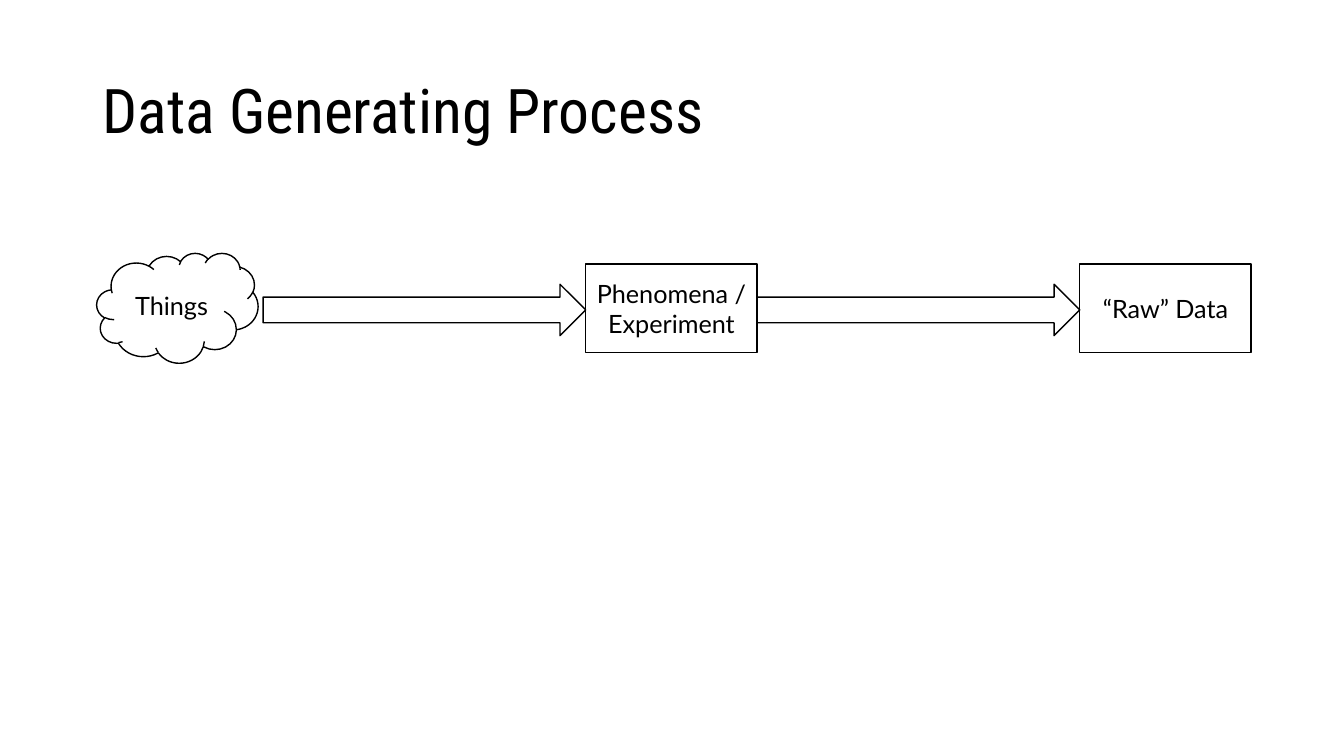
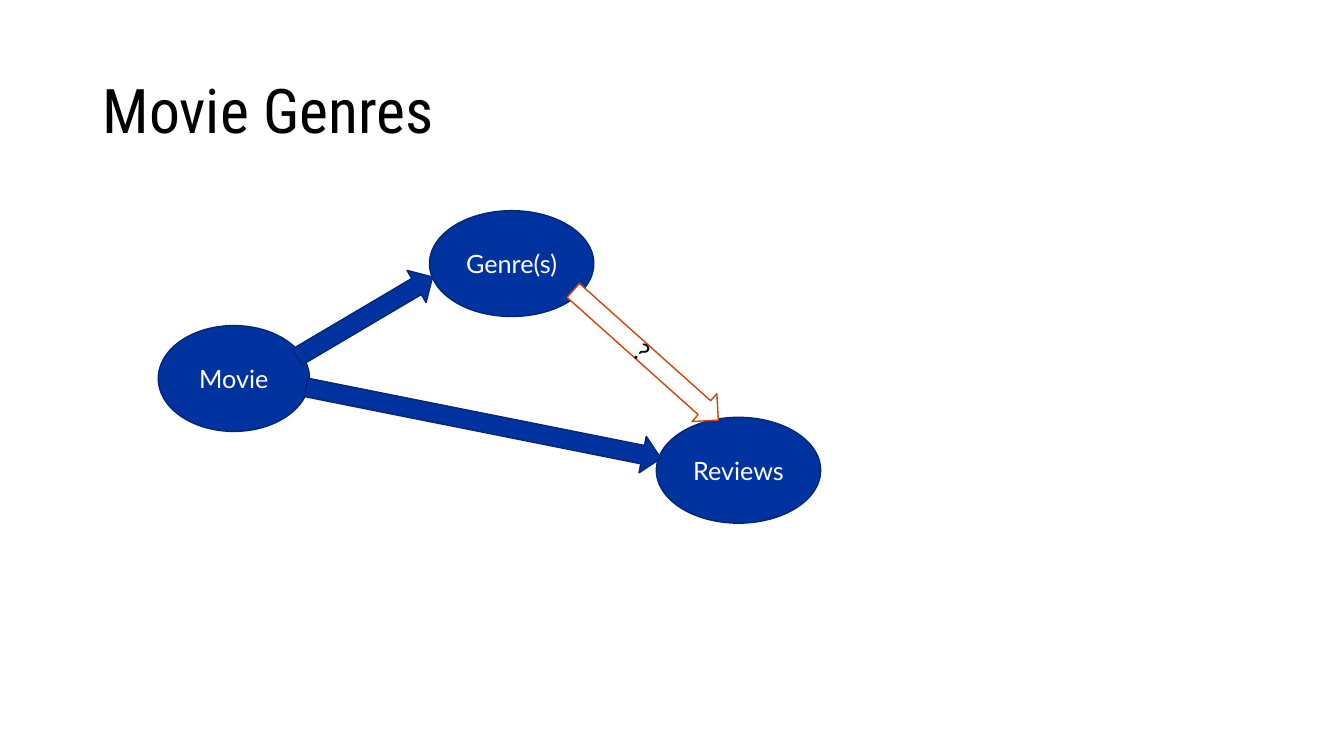
import pptx
import pptx.dml.color
import pptx.enum.shapes
import pptx.enum.text
import pptx.util

Inches = pptx.util.Inches
Kind = pptx.enum.shapes.MSO_SHAPE
Align = pptx.enum.text.PP_ALIGN
Middle = pptx.enum.text.MSO_ANCHOR.MIDDLE

BLACK, WHITE = "000000", "FFFFFF"
BLUE, NAVY, ORANGE = "0033A0", "002676", "D64309"
PLAIN = (WHITE, BLACK, BLACK)
SOLID = (BLUE, NAVY, WHITE)
DOUBT = (WHITE, ORANGE, BLACK)


def color(code):
    return pptx.dml.color.RGBColor.from_string(code)


class Deck:
    """Holds the shared style and the current slide."""

    def __init__(self):
        self.file = pptx.Presentation()
        self.file.slide_width = Inches(13.33)
        self.file.slide_height = Inches(7.5)
        self.slide = None

    def label(self, shape, text, font, size, ink, align):
        frame = shape.text_frame
        frame.word_wrap = True
        frame.vertical_anchor = Middle
        line = frame.paragraphs[0]
        line.text = text
        line.alignment = align
        line.font.name = font
        line.font.size = pptx.util.Pt(size)
        line.font.color.rgb = color(ink)
        return line

    def page(self, title):
        self.slide = self.file.slides.add_slide(self.file.slide_layouts[6])
        box = self.slide.shapes.add_textbox(
            Inches(0.92), Inches(0.4), Inches(11.5), Inches(1.45))
        line = self.label(box, title, "Roboto Condensed", 44, BLACK, Align.LEFT)
        line.line_spacing = 0.9

    def node(self, kind, place, look, text=""):
        fill, edge, ink = look
        shape = self.slide.shapes.add_shape(kind, *map(Inches, place))
        shape.shadow.inherit = False
        shape.fill.solid()
        shape.fill.fore_color.rgb = color(fill)
        shape.line.color.rgb = color(edge)
        shape.line.width = pptx.util.Pt(1)
        if text:
            self.label(shape, text, "Lato", 18, ink, Align.CENTER)
        return shape

    def arrow(self, place, look, turn=0, text=""):
        shape = self.node(Kind.RIGHT_ARROW, place, look, text)
        shape.rotation = turn


def main():
    deck = Deck()

    deck.page("Data Generating Process")
    wide, reach = 1.7, 3.2
    step = wide + reach
    first = 5.81
    deck.node(Kind.CLOUD, (0.96, 2.51, 1.6, 1.09), PLAIN, "Things")
    for i, text in enumerate(("Phenomena / Experiment", "“Raw” Data")):
        left = first + i * step
        deck.node(Kind.RECTANGLE, (left, 2.62, wide, 0.88), PLAIN, text)
    for i in range(2):
        left = first - reach + i * step
        deck.arrow((left, 2.82, reach, 0.51), PLAIN)

    deck.page("Movie Genres")
    for left, top, width, text in (
        (1.57, 3.23, 1.5, "Movie"),
        (4.26, 2.09, 1.63, "Genre(s)"),
        (6.51, 4.14, 1.63, "Reviews"),
    ):
        deck.node(Kind.OVAL, (left, top, width, 1.05), SOLID, text)
    for left, top, width, turn, look, text in (
        (2.84, 2.96, 1.56, 329.4, SOLID, ""),
        (3, 4.01, 3.59, 11.3, SOLID, ""),
        (5.44, 3.34, 1.93, 41.8, DOUBT, "?"),
    ):
        deck.arrow((left, top, width, 0.37), look, turn, text)

    deck.file.save("out.pptx")


if __name__ == "__main__":
    main()
